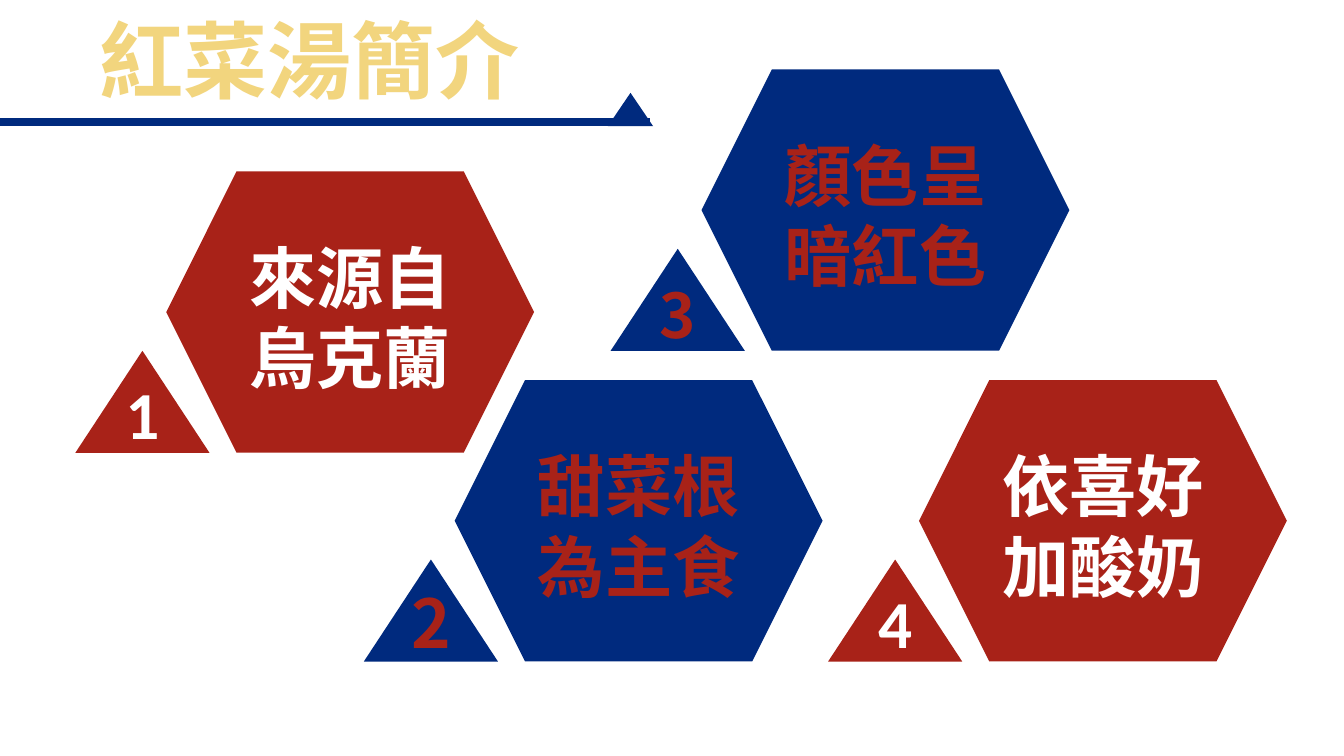
from lxml.etree import SubElement
from pptx import Presentation
from pptx.dml.color import RGBColor
from pptx.enum.shapes import MSO_CONNECTOR, MSO_SHAPE
from pptx.enum.text import MSO_ANCHOR, MSO_AUTO_SIZE, PP_ALIGN
from pptx.oxml.ns import qn
from pptx.util import Cm, Pt

RED, BLUE, GOLD, WHITE = "A82218", "002A7E", "F2D57E", "FFFFFF"
NOTO, LATIN = "Noto Sans CJK SC", "Calibri"


def paint(form, tone):
    form.solid()
    form.fore_color.rgb = RGBColor.from_string(tone)


def write(shape, lines, size, face, tone, space, frame):
    text = shape.text_frame
    for key, value in {"word_wrap": True, "auto_size": MSO_AUTO_SIZE.NONE, **frame}.items():
        setattr(text, key, value)
    text.text = "\n".join(lines)
    for para in text.paragraphs:
        para.alignment = PP_ALIGN.CENTER
        para.line_spacing = space
        run = para.runs[0]
        paint(run.font.fill, tone)
        for key, value in {"size": Pt(size), "bold": True, "name": face}.items():
            setattr(run.font, key, value)
        SubElement(run._r.get_or_add_rPr(), qn("a:ea")).set("typeface", NOTO)


deck = Presentation()
deck.slide_width, deck.slide_height = Cm(33.87), Cm(19.05)
slide = deck.slides.add_slide(deck.slide_layouts[5])
paint(slide.background.fill, WHITE)

title = slide.shapes.title
place = {"left": 0.25, "top": 0.36, "width": 15.11, "height": 2.59}
for key, value in place.items():
    setattr(title, key, Cm(value))
write(title, ["紅菜湯簡介"], 60, NOTO, GOLD, 0.9, {"vertical_anchor": MSO_ANCHOR.MIDDLE})

banner = slide.shapes.add_group_shape().shapes
rule = banner.add_connector(MSO_CONNECTOR.STRAIGHT, 0, Cm(3.07), Cm(16.38), Cm(3.07))
paint(rule.line.fill, BLUE)
rule.line.width = Pt(6)
SubElement(rule._element.spPr, qn("a:effectLst"))
peak = banner.add_shape(MSO_SHAPE.ISOSCELES_TRIANGLE, Cm(15.32), Cm(2.34), Cm(1.14), Cm(0.84))
peak.shadow.inherit = False
paint(peak.fill, BLUE)
peak.line.fill.background()

hex_frame = {"vertical_anchor": MSO_ANCHOR.MIDDLE, "margin_top": Cm(0.36), "margin_bottom": Cm(0.13)}
tip_frame = {"vertical_anchor": MSO_ANCHOR.BOTTOM, "margin_left": 0, "margin_right": 0,
             "margin_top": 0, "margin_bottom": 0}
facts = [
    (4.19, 4.32, RED, WHITE, ["來源自", "烏克蘭"], LATIN, 48),
    (11.46, 9.58, BLUE, RED, ["甜菜根為主食"], NOTO, 48),
    (17.68, 1.75, BLUE, RED, ["顏色呈", "暗紅色"], NOTO, 44),
    (23.16, 9.58, RED, WHITE, ["依喜好", "加酸奶"], LATIN, 48),
]
for rank, (left, top, fill, ink, lines, face, size) in enumerate(facts, 1):
    group = slide.shapes.add_group_shape().shapes
    cell = group.add_shape(MSO_SHAPE.HEXAGON, Cm(left), Cm(top), Cm(9.27), Cm(7.09))
    tip = group.add_shape(MSO_SHAPE.ISOSCELES_TRIANGLE, Cm(left - 2.29), Cm(top + 4.52), Cm(3.38), Cm(2.57))
    for shape in (cell, tip):
        shape.shadow.inherit = False
        paint(shape.fill, fill)
        shape.line.fill.background()
    write(cell, lines, 48, NOTO, ink, Pt(57.5), hex_frame)
    write(tip, [str(rank)], size, face, ink, 1.0, tip_frame)

deck.save("out.pptx")
